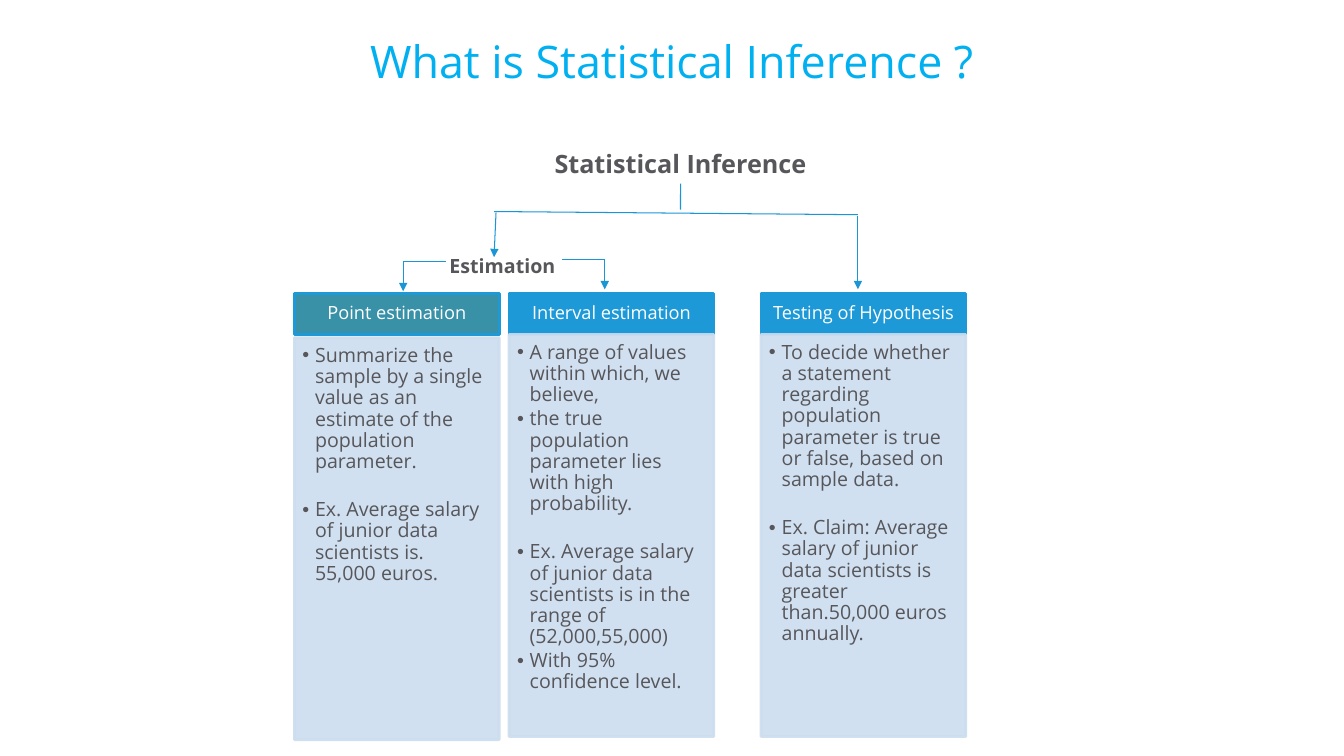
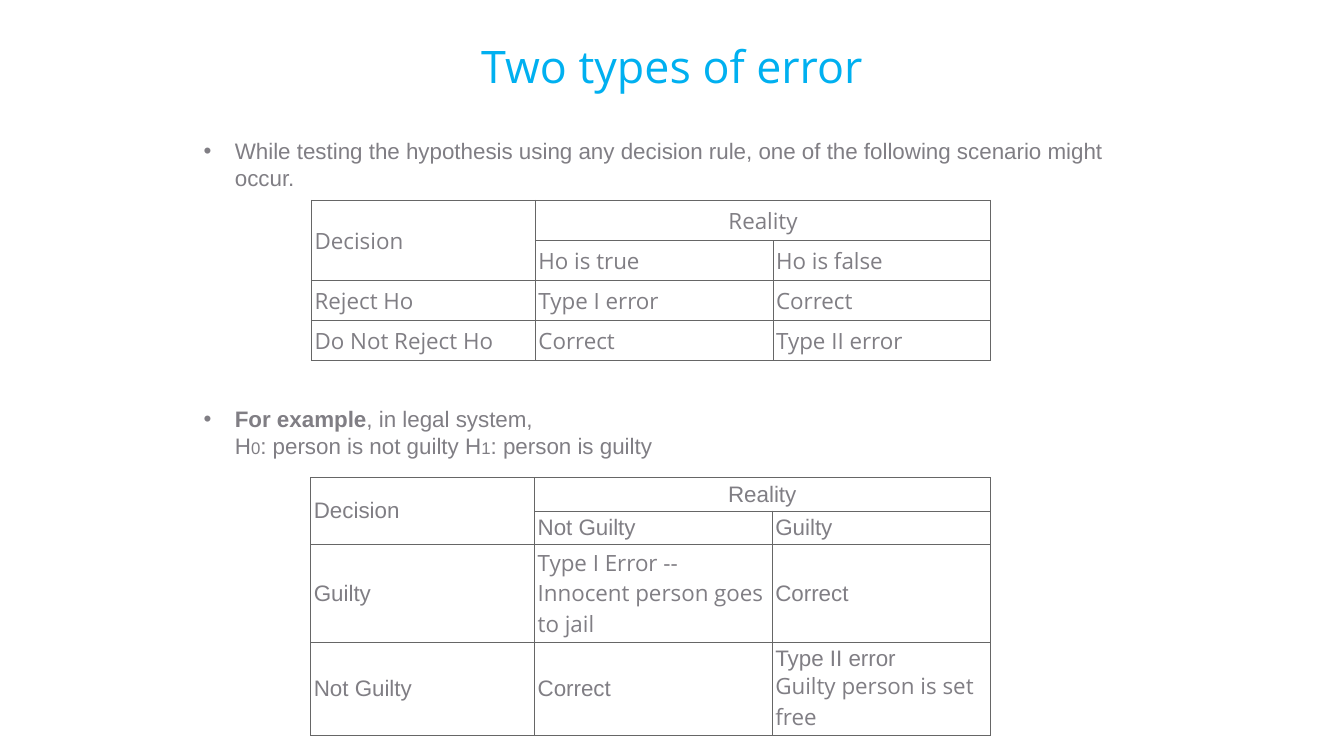
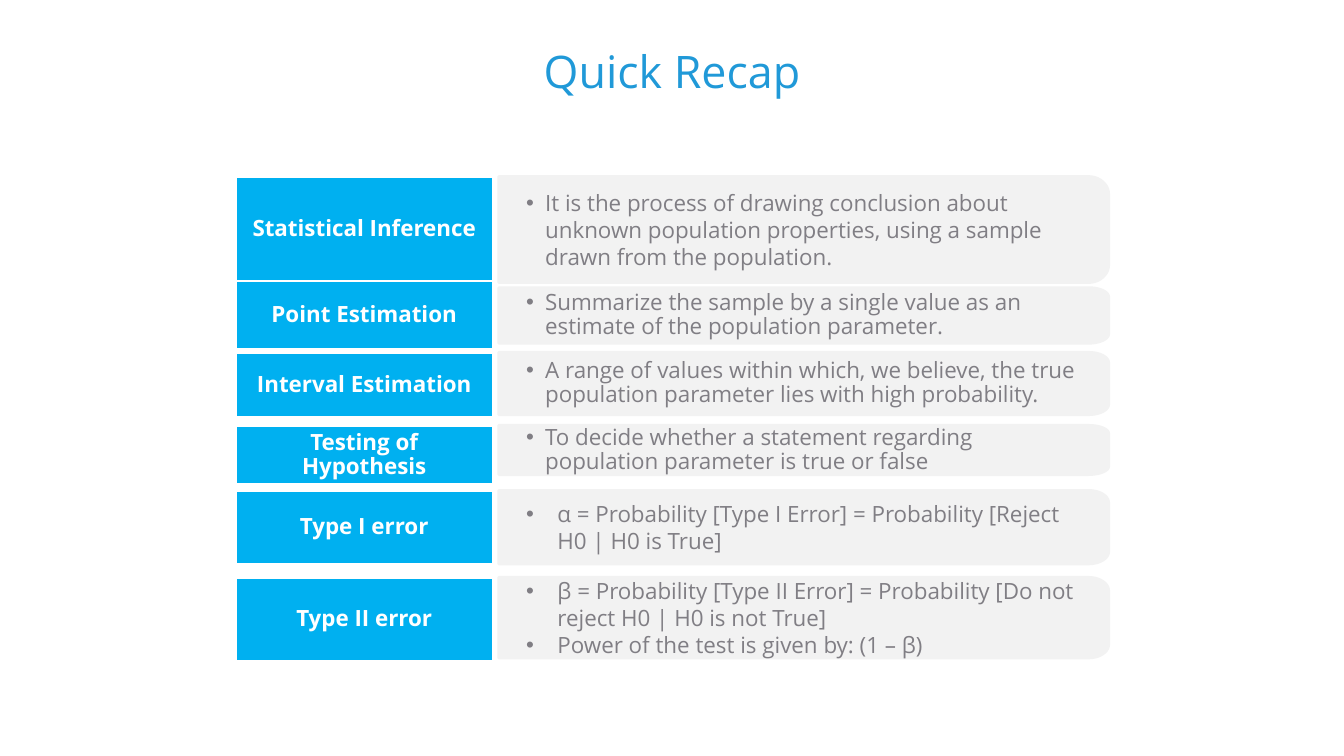
from dataclasses import dataclass, field
from math import cos, pi, sin
from typing import Any, NamedTuple

from lxml.etree import SubElement
from pptx import Presentation
from pptx.dml.color import RGBColor
from pptx.enum.shapes import MSO_CONNECTOR as CONN, MSO_SHAPE as SHAPE
from pptx.enum.text import MSO_ANCHOR as ANCHOR, PP_ALIGN as ALIGN
from pptx.oxml.ns import qn
from pptx.util import Cm, Pt

# Shared look
COLORS = {
    "title": "00B0F0", "recap_title": "2099D8", "dark": "57565A", "grey": "807E84",
    "white": "FFFFFF", "blue": "1D99D8", "teal": "3891A7", "pale": "CBDDEF",
    "line": "1A96D7", "panel": "F2F2F2", "label": "00B0F0", "border": "666666",
}
SANS, ARIAL = "Open Sans", "Arial"
MARGINS = ("margin_left", "margin_top", "margin_right", "margin_bottom")
BOX_INSETS = (0.25, 0.13, 0.25, 0.13)


class Box(NamedTuple):
    x: float
    y: float
    w: float
    h: float

    def emu(self) -> list[int]:
        return [Cm(v) for v in self]


@dataclass
class Style:
    size: float
    color: str
    name: str = SANS
    bold: bool = False


@dataclass
class Run:
    text: str
    fmt: dict[str, Any] = field(default_factory=dict)


@dataclass
class Para:
    runs: list[Run]
    indent: float = 0
    bullet: bool = False
    fmt: dict[str, Any] = field(default_factory=dict)


class Line(NamedTuple):
    x1: float
    y1: float
    x2: float
    y2: float
    arrow: bool = False


class Column(NamedTuple):
    x: float
    body_y: float
    header: str
    fill: str
    items: list[Para]


class Recap(NamedTuple):
    label: str
    label_y: float
    label_h: float
    panel_y: float
    panel_h: float
    items: list[Para]


# Helpers
def rgb(name: str) -> RGBColor:
    return RGBColor.from_string(COLORS[name])


def apply(obj: Any, fmt: dict[str, Any]) -> None:
    for key, value in fmt.items():
        setattr(obj, key, value)


def para(text: str, **fmt: Any) -> Para:
    return Para([Run(text)], fmt=fmt)


def bullet(text: str, indent: float, **fmt: Any) -> Para:
    return Para([Run(text)], indent, True, {"alignment": ALIGN.LEFT} | fmt)


def write(tf: Any, paras: list[Para], style: Style) -> None:
    for i, item in enumerate(paras):
        p = tf.paragraphs[0] if i == 0 else tf.add_paragraph()
        pPr = p._p.get_or_add_pPr()
        if item.indent:
            pPr.set("marL", str(Cm(item.indent)))
            pPr.set("indent", str(-Cm(item.indent) if item.bullet else 0))
        if item.bullet:
            color = SubElement(pPr, qn("a:buClr"))
            SubElement(color, qn("a:srgbClr"), val=COLORS[style.color])
            SubElement(pPr, qn("a:buFont"), typeface=ARIAL)
            SubElement(pPr, qn("a:buChar"), char="•")
        apply(p, item.fmt)
        for run in item.runs:
            r = p.add_run()
            r.text = run.text
            apply(r.font, {"size": Pt(style.size), "name": style.name,
                           "bold": style.bold} | run.fmt)
            r.font.color.rgb = rgb(style.color)


def frame(sp: Any, paras: list[Para], style: Style, insets: tuple[float, ...],
          anchor: Any = ANCHOR.TOP) -> None:
    tf = sp.text_frame
    apply(tf, {"word_wrap": True, "vertical_anchor": anchor}
          | dict(zip(MARGINS, map(Cm, insets))))
    write(tf, paras, style)


def add_text(s: Any, box: Box, paras: list[Para], style: Style,
             insets: tuple[float, ...] = BOX_INSETS, anchor: Any = ANCHOR.TOP) -> Any:
    sp = s.shapes.add_textbox(*box.emu())
    frame(sp, paras, style, insets, anchor)
    return sp


def paint(sp: Any, fill: str, line: str, opacity: int = 100) -> None:
    sp.shadow.inherit = False
    sp.fill.solid()
    sp.fill.fore_color.rgb = rgb(fill)
    sp.line.color.rgb = rgb(line)
    sp.line.width = Pt(2)
    if opacity < 100:
        for color in sp._element.spPr.iter(qn("a:srgbClr")):
            SubElement(color, qn("a:alpha"), val=str(opacity * 1000))


def add_rect(s: Any, box: Box, fill: str, line: str, opacity: int = 100) -> Any:
    sp = s.shapes.add_shape(SHAPE.RECTANGLE, *box.emu())
    paint(sp, fill, line, opacity)
    return sp


def add_line(s: Any, line: Line) -> Any:
    cx = s.shapes.add_connector(CONN.STRAIGHT, *(Cm(v) for v in line[:4]))
    cx.line.color.rgb = rgb("line")
    cx.line.width = Pt(0.75)
    if line.arrow:
        SubElement(cx.line._get_or_add_ln(), qn("a:tailEnd"), type="triangle")
    SubElement(cx._element.spPr, qn("a:effectLst"))
    return cx


def add_panel(s: Any, box: Box) -> Any:
    """Panel with elliptical corners on its right side."""
    rx, ry, steps = 0.51, box.h / 6, 10
    right, bottom = box.x + box.w, box.y + box.h
    angles = [pi / 2 * i / steps for i in range(steps + 1)]
    points = [(right - rx + rx * sin(a), box.y + ry - ry * cos(a)) for a in angles]
    points += [(right - rx + rx * cos(a), bottom - ry + ry * sin(a)) for a in angles]
    points.append((box.x, bottom))
    fb = s.shapes.build_freeform(Cm(box.x), Cm(box.y), scale=1.0)
    fb.add_line_segments([(Cm(x), Cm(y)) for x, y in points], close=True)
    sp = fb.convert_to_shape()
    paint(sp, "panel", "panel")
    return sp


def style_cell(cell: Any) -> None:
    cell.fill.background()
    apply(cell, {"vertical_anchor": ANCHOR.MIDDLE} | {m: Cm(0.08) for m in MARGINS})
    tcPr = cell._tc.get_or_add_tcPr()
    for i, side in enumerate(("lnL", "lnR", "lnT", "lnB")):
        ln = SubElement(tcPr, qn(f"a:{side}"), w=str(Pt(0.75)))
        fill = SubElement(ln, qn("a:solidFill"))
        SubElement(fill, qn("a:srgbClr"), val=COLORS["border"])
        tcPr.insert(i, ln)


def add_decision_table(s: Any, x: float, y: float, heights: list[float],
                       rows: list[list[Any]], style: Style) -> None:
    widths = [5.64, 5.99, 5.49]
    box = Box(x, y, sum(widths), sum(heights))
    tbl = s.shapes.add_table(len(rows), len(widths), *box.emu()).table
    apply(tbl, {"first_row": False, "horz_banding": False})
    for col, width in zip(tbl.columns, widths):
        col.width = Cm(width)
    for row, height in zip(tbl.rows, heights):
        row.height = Cm(height)
    for i, row in enumerate(rows):
        for j, content in enumerate(row):
            cell = tbl.cell(i, j)
            style_cell(cell)
            if content:
                paras = [para(content)] if isinstance(content, str) else content
                write(cell.text_frame, paras, style)
    tbl.cell(0, 0).merge(tbl.cell(1, 0))
    tbl.cell(0, 1).merge(tbl.cell(0, 2))
    tbl.cell(0, 1).text_frame.paragraphs[0].alignment = ALIGN.CENTER


def new_slide(prs: Any, title: str, y: float, h: float = 2.26,
              color: str = "title") -> Any:
    s = prs.slides.add_slide(prs.slide_layouts[6])
    add_text(s, Box(5.51, y, 22.86, h),
             [para(title, alignment=ALIGN.CENTER, line_spacing=0.86)],
             Style(32, color), (0, 0, 0, 0), ANCHOR.MIDDLE)
    return s


# Slide 1: tree of inference methods
def item(text: str, before: float = 2.1) -> Para:
    return bullet(text, 0.32, line_spacing=0.9, space_before=Pt(before))


GAP = 19.3
COLUMNS = [
    Column(7.42, 8.51, "Point estimation", "teal", [
        item("Summarize the sample by a single value as an estimate of the "
             "population parameter.", 0),
        item("Ex. Average salary of junior data scientists is. 55,000 euros.", GAP)]),
    Column(12.83, 8.43, "Interval estimation", "blue", [
        item("A range of values within which, we believe,", 0),
        item("the true population parameter lies with high probability."),
        item("Ex. Average salary of junior data scientists is in the range of "
             "(52,000,55,000)", GAP),
        item("With 95% confidence level.")]),
    Column(19.18, 8.43, "Testing of Hypothesis", "blue", [
        item("To decide whether a statement regarding population parameter is true "
             "or false, based on sample data.", 0),
        item("Ex. Claim: Average salary of junior data scientists is greater "
             "than.50,000 euros annually.", GAP)]),
]
BRANCHES = [
    Line(12.45, 5.33, 21.62, 5.41),
    Line(12.5, 5.36, 12.45, 6.48, True),
    Line(11.23, 6.6, 10.16, 6.6),
    Line(15.24, 6.55, 14.17, 6.55),
    Line(10.16, 6.6, 10.16, 7.34, True),
    Line(15.24, 6.55, 15.24, 7.29, True),
    Line(21.62, 5.44, 21.62, 7.29, True),
]


def inference_slide(prs: Any) -> None:
    s = new_slide(prs, "What is Statistical Inference ?", 0.51)
    for col in COLUMNS:
        header = add_rect(s, Box(col.x, 7.39, 5.16, 1.04), col.fill, "blue")
        frame(header, [para(col.header, alignment=ALIGN.CENTER, line_spacing=0.9)],
              Style(13, "white"), (0.25, 0.15, 0.25, 0.15), ANCHOR.MIDDLE)
        body = add_rect(s, Box(col.x, col.body_y, 5.16, 10.13), "pale", "pale", 90)
        frame(body, col.items, Style(14, "dark"), (0.2, 0.2, 0.28, 0.3))
    root = add_text(s, Box(13.34, 3.61, 7.62, 1.02),
                    [para("Statistical Inference", alignment=ALIGN.CENTER)],
                    Style(18, "dark", bold=True))
    add_text(s, Box(8.41, 6.27, 8.51, 0.86),
             [para("Estimation", alignment=ALIGN.CENTER)],
             Style(14, "dark", bold=True))
    trunk = add_line(s, Line(17.15, 4.63, 17.15, 5.28))
    trunk.begin_connect(root, 2)
    for branch in BRANCHES:
        add_line(s, branch)


# Slide 2: error tables
def errors_slide(prs: Any) -> None:
    s = new_slide(prs, "Two types of error", 0.62)
    small, sans = {"size": Pt(12)}, {"name": SANS}
    arial = Style(16, "grey", ARIAL)
    add_text(s, Box(4.88, 3.33, 24.13, 9.14), [
        bullet("While testing the hypothesis using any decision rule, one of the "
               "following scenario might occur.", 0.79),
        Para([Run("For example", {"bold": True}), Run(", in legal system,")],
             0.79, True, {"space_before": Pt(153)}),
        Para([Run("H"), Run("0", small), Run(": person is not guilty H"),
              Run("1", small), Run(": person is guilty")], 0.79),
    ], arial)
    add_decision_table(s, 7.85, 5.05, [1.01] * 4, [
        ["Decision", "Reality", None],
        [None, "Ho is true", "Ho is false"],
        ["Reject Ho", "Type I error", "Correct"],
        ["Do Not Reject Ho", "Correct", "Type II error"],
    ], Style(16, "grey"))
    add_decision_table(s, 7.83, 12.04, [0.81, 0.81, 2.47, 2.35], [
        ["Decision", "Reality", None],
        [None, "Not Guilty", "Guilty"],
        ["Guilty",
         [Para([Run("Type I Error -- Innocent person goes to jail", sans)])],
         "Correct"],
        ["Not Guilty", "Correct",
         [para("Type II error"), Para([Run("Guilty person is set free", sans)])]],
    ], arial)


# Slide 3: recap rows
RECAPS = [
    Recap("Statistical Inference", 4.45, 2.67, 4.45, 2.67, [
        bullet("It is the process of drawing conclusion about unknown population "
               "properties, using a sample drawn from the population.", 0.48)]),
    Recap("Point Estimation", 7.08, 1.73, 7.25, 1.4, [
        bullet("Summarize the sample by a single value as an estimate of the "
               "population parameter.", 0.48, line_spacing=0.9)]),
    Recap("Interval Estimation", 8.89, 1.63, 8.88, 1.57, [
        bullet("A range of values within which, we believe, the true population "
               "parameter lies with high probability.", 0.48, line_spacing=0.9)]),
    Recap("Testing of Hypothesis", 10.73, 1.47, 10.72, 1.24, [
        bullet("To decide whether a statement regarding population parameter is "
               "true or false", 0.48, line_spacing=0.9)]),
    Recap("Type I error", 12.37, 1.85, 12.36, 1.85, [
        bullet("α = Probability [Type I Error] = Probability [Reject H0 | H0 is "
               "True]", 0.79)]),
    Recap("Type II error", 14.55, 2.11, 14.55, 2.03, [
        bullet("β = Probability [Type II Error] = Probability [Do not reject H0 | "
               "H0 is not True]", 0.79),
        bullet("Power of the test is given by: (1 – β)", 0.79)]),
]


def recap_slide(prs: Any) -> None:
    s = new_slide(prs, "Quick Recap", 0.79, 2.16, "recap_title")
    for row in RECAPS:
        panel = add_panel(s, Box(12.57, row.panel_y, 15.37, row.panel_h))
        frame(panel, row.items, Style(16, "grey"), (0.69, 0.46, 0.81, 0.46),
              ANCHOR.MIDDLE)
        label = add_rect(s, Box(5.93, row.label_y, 6.5, row.label_h), "label", "white")
        frame(label, [para(row.label, alignment=ALIGN.CENTER, line_spacing=0.9)],
              Style(16, "white", bold=True), (0.33, 0.23, 0.33, 0.23), ANCHOR.MIDDLE)


def main() -> None:
    prs = Presentation()
    apply(prs, {"slide_width": Cm(33.87), "slide_height": Cm(19.05)})
    for build in (inference_slide, errors_slide, recap_slide):
        build(prs)
    prs.save("out.pptx")


if __name__ == "__main__":
    main()
